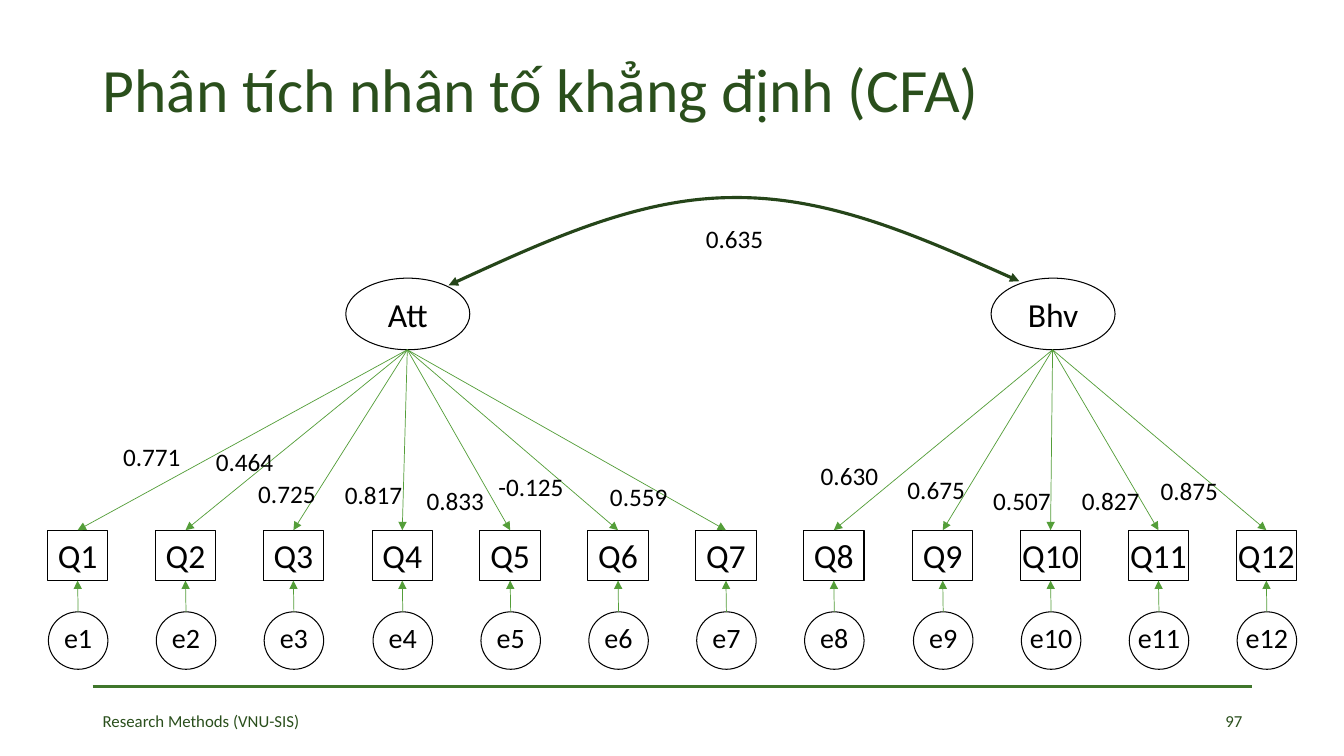
import pptx
import pptx.util
import pptx.dml.color
import pptx.enum.shapes
import pptx.enum.text
import pptx.oxml.ns
import lxml.etree

THEME = {
    "font": "Calibri",
    "heading": "2A4F1C", "ink": "000000", "rule": "3F762B",
    "path": "549E39", "covariance": "254519",
    "title_size": 44, "node_size": 24, "error_size": 20,
    "weight_size": 18, "footer_size": 12,
}
PX = pptx.util.Inches(1) // 100
SHAPE = pptx.enum.shapes.MSO_SHAPE
ALIGN = pptx.enum.text.PP_ALIGN
ANCHOR = pptx.enum.text.MSO_ANCHOR
qn = pptx.oxml.ns.qn


def write(holder, text, size, color="ink", align=ALIGN.CENTER, anchor=ANCHOR.TOP,
          wrap=True, inset_x=10, inset_y=5):
    frame = holder.text_frame
    frame.word_wrap = wrap
    frame.auto_size = pptx.enum.text.MSO_AUTO_SIZE.NONE
    frame.vertical_anchor = anchor
    frame.margin_left = frame.margin_right = inset_x * PX
    frame.margin_top = frame.margin_bottom = inset_y * PX
    paragraph = frame.paragraphs[0]
    paragraph.alignment = align
    run = paragraph.add_run()
    run.text = text
    run.font.name = THEME["font"]
    run.font.size = pptx.util.Pt(THEME[size])
    run.font.color.rgb = pptx.dml.color.RGBColor.from_string(THEME[color])


def stroke(outline, color, width, ends=()):
    outline.line.color.rgb = pptx.dml.color.RGBColor.from_string(THEME[color])
    outline.line.width = pptx.util.Pt(width)
    properties = outline.element.spPr
    for end in ends:
        lxml.etree.SubElement(properties.find(qn("a:ln")), qn(end), type="triangle")
    if properties.find(qn("a:effectLst")) is None:
        lxml.etree.SubElement(properties, qn("a:effectLst"))


presentation = pptx.Presentation()
presentation.slide_width = 1333 * PX
presentation.slide_height = 750 * PX
slide = presentation.slides.add_slide(presentation.slide_layouts[5])
shapes = slide.shapes
straight = pptx.enum.shapes.MSO_CONNECTOR.STRAIGHT

footer_rule = shapes.add_connector(straight, 92 * PX, 681 * PX, 1242 * PX, 681 * PX)
stroke(footer_rule, "rule", 2.25)

title = shapes.title
title.left, title.top, title.width, title.height = 92 * PX, 40 * PX, 1150 * PX, 104 * PX
write(title, "Phân tích nhân tố khẳng định (CFA)", "title_size", "heading",
      ALIGN.LEFT, ANCHOR.MIDDLE)
title.text_frame.paragraphs[0].line_spacing = 0.9

for text, left, width, align in [
    ("Research Methods (VNU-SIS)", 92, 251, ALIGN.LEFT),
    ("97", 942, 300, ALIGN.RIGHT),
]:
    footer = shapes.add_textbox(left * PX, 695 * PX, width * PX, 40 * PX)
    write(footer, text, "footer_size", "heading", align, ANCHOR.MIDDLE)

factors = [
    ("Att", 343, [("0.771", 93, 433), ("0.464", 185, 438), ("0.725", 227, 470),
                  ("0.817", 313, 471), ("0.833", 394, 477), ("-0.125", 469, 463),
                  ("0.559", 576, 473)]),
    ("Bhv", 983, [("0.630", 785, 452), ("0.675", 871, 466), ("0.507", 956, 477),
                  ("0.827", 1044, 477), ("0.875", 1122, 467)]),
]
weights = [("0.635", 671, 217)]
number = 0
for factor_name, factor_left, loadings in factors:
    factor = shapes.add_shape(SHAPE.OVAL, factor_left * PX, 276 * PX, 123 * PX, 71 * PX)
    factor.shadow.inherit = False
    factor.fill.background()
    stroke(factor, "ink", 0.75)
    write(factor, factor_name, "node_size")
    weights += loadings

    for loading in loadings:
        left = round(47 + number * 107.2)
        number += 1
        question = shapes.add_shape(SHAPE.RECTANGLE, left * PX, 526 * PX, 60 * PX, 50 * PX)
        error = shapes.add_shape(SHAPE.OVAL, (left + 1) * PX, 607 * PX, 59 * PX, 57 * PX)
        for node, label, size, inset_y in [
            (question, f"Q{number}", "node_size", 5),
            (error, f"e{number}", "error_size", 0),
        ]:
            node.shadow.inherit = False
            node.fill.background()
            stroke(node, "ink", 0.75)
            write(node, label, size, wrap=False, inset_x=0, inset_y=inset_y)

        factor_path = shapes.add_connector(
            straight, (factor_left + 61) * PX, 347 * PX, (left + 30) * PX, 526 * PX)
        factor_path.end_connect(question, 0)
        error_path = shapes.add_connector(
            straight, (left + 30) * PX, 607 * PX, (left + 30) * PX, 576 * PX)
        error_path.begin_connect(error, 0)
        error_path.end_connect(question, 2)
        for arrow in (factor_path, error_path):
            stroke(arrow, "path", 0.5, ["a:tailEnd"])

arc = shapes.build_freeform(445, 283, scale=PX)
arc.add_line_segments(
    [(539, 240), (634, 196), (728, 196), (823, 195), (917, 237), (1011, 279)], close=False)
covariance = arc.convert_to_shape()
curve_path = covariance.element.spPr.find(".//" + qn("a:path"))
segments = curve_path.findall(qn("a:lnTo"))
for start in range(0, len(segments), 3):
    bezier = lxml.etree.SubElement(curve_path, qn("a:cubicBezTo"))
    for segment in segments[start:start + 3]:
        bezier.append(segment[0])
        curve_path.remove(segment)
covariance.shadow.inherit = False
covariance.fill.background()
stroke(covariance, "covariance", 2.25, ["a:headEnd", "a:tailEnd"])

for value, left, top in weights:
    weight = shapes.add_textbox(left * PX, top * PX, 115 * PX, 40 * PX)
    write(weight, value, "weight_size")

presentation.save("out.pptx")
